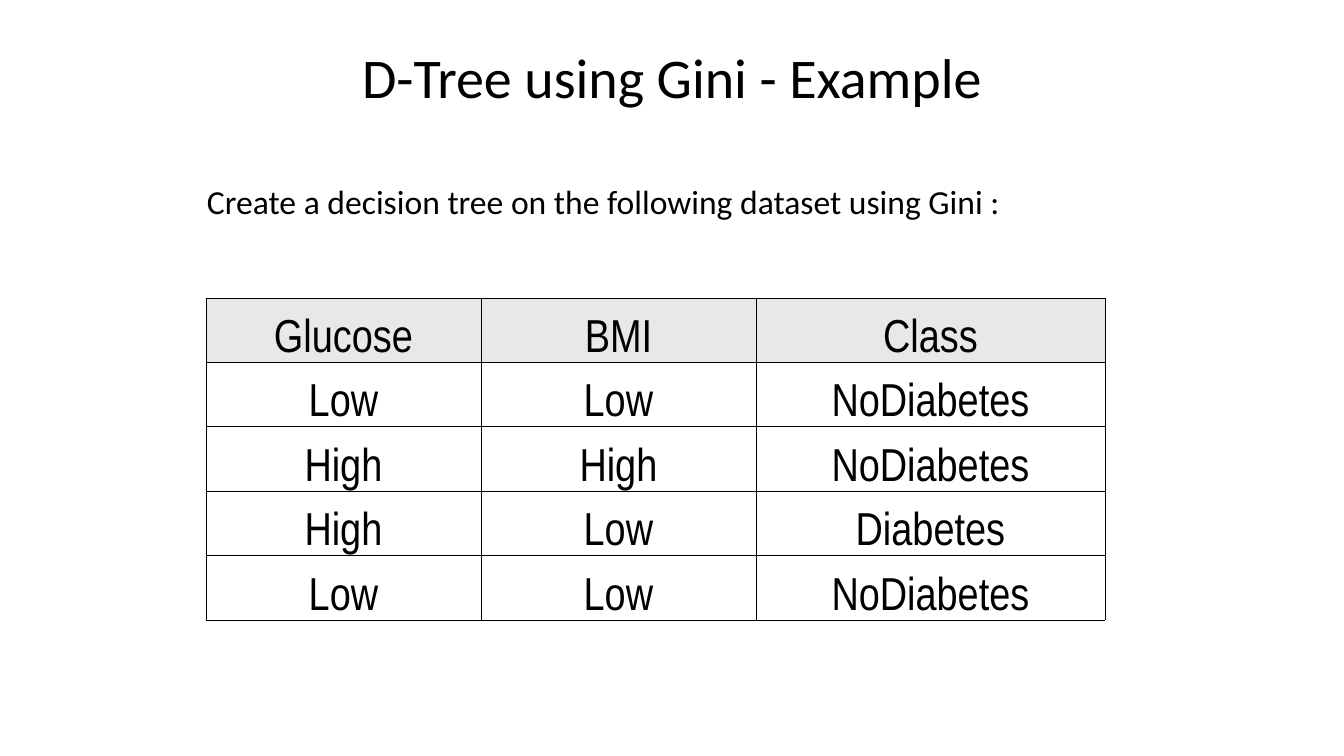
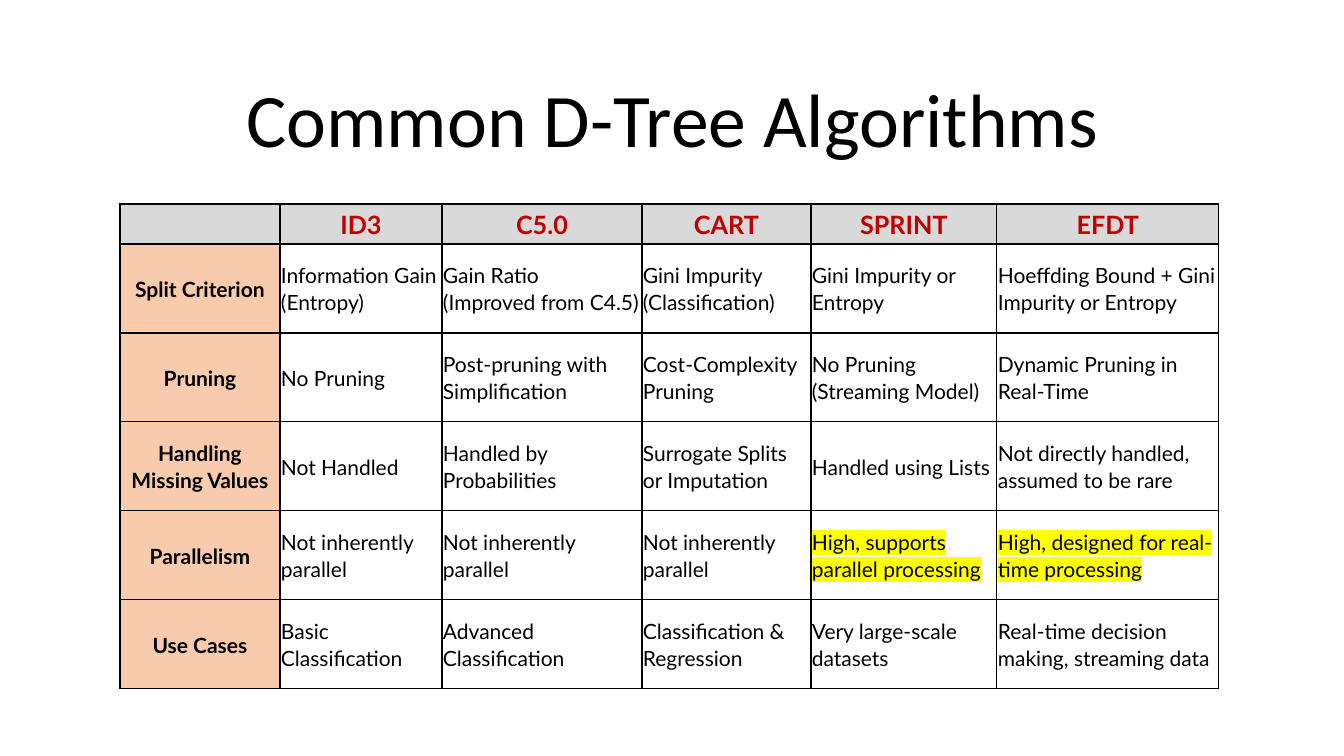
from dataclasses import dataclass

from lxml.etree import SubElement
from pptx import Presentation
from pptx.dml.color import RGBColor
from pptx.enum.text import MSO_ANCHOR as Anchor, MSO_AUTO_SIZE as AutoSize, PP_ALIGN as Align
from pptx.oxml.ns import qn
from pptx.slide import Slide
from pptx.table import _Cell as Cell
from pptx.text.text import TextFrame
from pptx.util import Emu, Pt

# Shared scale, fonts and colours
SLIDE_W, SLIDE_H = 1344, 756
EMU_PER_PX = 12192000 / SLIDE_W
TITLE_FONT = "Calibri"
BLACK, RED, YELLOW = "000000", "C00000", "FFFF00"
LIGHT_GREY, GREY, PEACH = "E8E8E8", "D9D9D9", "F8CBAD"


@dataclass(frozen=True)
class Box:
    left: int
    top: int
    width: int
    height: int


@dataclass(frozen=True)
class CellStyle:
    font: str
    size: int
    anchor: Anchor
    margins: tuple[int, int, int, int]  # left, top, right, bottom
    border: float
    color: str = BLACK
    fill: str | None = None
    bold: bool = False
    align: Align = Align.CENTER
    spacing: float = 1.0
    after: int = 0


def px(length: float) -> Emu:
    return Emu(round(length * EMU_PER_PX))


def rgb(color: str) -> RGBColor:
    return RGBColor.from_string(color)


def place(box: Box) -> tuple[Emu, Emu, Emu, Emu]:
    return px(box.left), px(box.top), px(box.width), px(box.height)


def write(frame: TextFrame, text: str, *, size: int, font: str = TITLE_FONT,
          color: str = BLACK, bold: bool = False, align: Align = Align.LEFT,
          spacing: float = 0.9, after: int = 0, highlight: str | None = None) -> None:
    paragraph = frame.paragraphs[0]
    paragraph.text = text
    paragraph.alignment = align
    paragraph.line_spacing = spacing
    paragraph.space_before = Pt(0)
    paragraph.space_after = Pt(after)
    for run in paragraph.runs:
        run.font.name, run.font.size, run.font.bold = font, Pt(size), bold
        run.font.color.rgb = rgb(color)
        if highlight:
            properties = run._r.get_or_add_rPr()
            marker = SubElement(properties, qn("a:highlight"))
            SubElement(marker, qn("a:srgbClr"), val=highlight)
            properties.find(qn("a:solidFill")).addnext(marker)


def add_title(slide: Slide, text: str, box: Box, size: int) -> None:
    title = slide.shapes.title
    title.left, title.top, title.width, title.height = place(box)
    frame = title.text_frame
    frame.word_wrap, frame.auto_size = True, AutoSize.NONE
    frame.vertical_anchor = Anchor.MIDDLE
    write(frame, text, size=size, align=Align.CENTER)


def add_statement(slide: Slide, text: str, box: Box) -> None:
    frame = slide.shapes.add_textbox(*place(box)).text_frame
    frame.word_wrap = True
    frame.vertical_anchor = Anchor.MIDDLE
    write(frame, text, size=24)


def draw_borders(cell: Cell, points: float) -> None:
    properties = cell._tc.get_or_add_tcPr()
    for side in ("lnL", "lnR", "lnT", "lnB"):
        line = SubElement(properties, qn(f"a:{side}"), w=str(Pt(points)))
        SubElement(SubElement(line, qn("a:solidFill")), qn("a:srgbClr"), val=BLACK)


def fill_cell(cell: Cell, text: str, style: CellStyle, highlight: str | None) -> None:
    draw_borders(cell, style.border)
    if style.fill:
        cell.fill.solid()
        cell.fill.fore_color.rgb = rgb(style.fill)
    else:
        cell.fill.background()
    cell.vertical_anchor = style.anchor
    (cell.margin_left, cell.margin_top,
     cell.margin_right, cell.margin_bottom) = map(px, style.margins)
    write(cell.text_frame, text, size=style.size, font=style.font, color=style.color,
          bold=style.bold, align=style.align, spacing=style.spacing,
          after=style.after, highlight=highlight)


def add_grid(slide: Slide, rows: list[tuple[str, ...]], left: int, top: int,
             widths: list[int], heights: list[float], header: CellStyle,
             body: CellStyle, first_column: CellStyle, marked: str | None = None) -> None:
    """Draw a table; body texts that start with `marked` are highlighted."""
    box = Box(left, top, sum(widths), round(sum(heights)))
    table = slide.shapes.add_table(len(rows), len(widths), *place(box)).table
    table.first_row = table.horz_banding = False
    for column, width in zip(table.columns, widths):
        column.width = px(width)
    for r, (row, height) in enumerate(zip(rows, heights)):
        table.rows[r].height = px(height)
        for c, text in enumerate(row):
            style = header if r == 0 else first_column if c == 0 else body
            highlight = YELLOW if marked and text.startswith(marked) else None
            fill_cell(table.cell(r, c), text, style, highlight)


# Contents of the tables
PATIENTS = [
    ("Glucose", "BMI", "Class"),
    ("Low", "Low", "NoDiabetes"),
    ("High", "High", "NoDiabetes"),
    ("High", "Low", "Diabetes"),
    ("Low", "Low", "NoDiabetes"),
]
ALGORITHMS = [
    ("", "ID3", "C5.0", "CART", "SPRINT", "EFDT"),
    ("Split Criterion", "Information Gain (Entropy)", "Gain Ratio\v(Improved from C4.5)",
     "Gini Impurity (Classification)", "Gini Impurity or Entropy",
     "Hoeffding Bound + Gini Impurity or Entropy"),
    ("Pruning", "No Pruning", "Post-pruning with Simplification",
     "Cost-Complexity Pruning", "No Pruning (Streaming Model)",
     "Dynamic Pruning in Real-Time"),
    ("Handling Missing Values", "Not Handled", "Handled by Probabilities",
     "Surrogate Splits or Imputation", "Handled using Lists",
     "Not directly handled, assumed to be rare"),
    ("Parallelism", *["Not inherently parallel"] * 3,
     "High, supports parallel processing", "High, designed for real-time processing"),
    ("Use Cases", "Basic Classification", "Advanced Classification",
     "Classification & Regression", "Very large-scale datasets",
     "Real-time decision making, streaming data"),
]

# Styles of the table cells
PATIENT = dict(font="Arial Narrow", size=33, anchor=Anchor.BOTTOM,
               margins=(2, 2, 2, 0), border=0.5)
ALGORITHM = dict(font="Lato", anchor=Anchor.MIDDLE, margins=(1, 1, 1, 1),
                 border=1, spacing=1.07, after=8)


def build_example(slide: Slide) -> None:
    add_title(slide, "D-Tree using Gini - Example", Box(111, 19, 1122, 123), 40)
    add_statement(slide, "Create a decision tree on the following dataset using Gini :",
                  Box(197, 161, 1122, 85))
    value = CellStyle(**PATIENT)
    add_grid(slide, PATIENTS, 206, 298, [275, 275, 349],
             [322 / len(PATIENTS)] * len(PATIENTS),
             header=CellStyle(fill=LIGHT_GREY, **PATIENT), body=value, first_column=value)


def build_comparison(slide: Slide) -> None:
    add_title(slide, "Common D-Tree Algorithms", Box(93, 61, 1159, 125), 54)
    add_grid(slide, ALGORITHMS, 120, 204, [160, 162, 200, 169, 186, 222],
             [40] + [89] * (len(ALGORITHMS) - 1),
             header=CellStyle(size=18, color=RED, fill=GREY, bold=True, **ALGORITHM),
             body=CellStyle(size=15, align=Align.LEFT, **ALGORITHM),
             first_column=CellStyle(size=15, fill=PEACH, bold=True, **ALGORITHM),
             marked="High,")


def main() -> None:
    deck = Presentation()
    deck.slide_width, deck.slide_height = px(SLIDE_W), px(SLIDE_H)
    title_only = deck.slide_layouts[5]
    for build in (build_example, build_comparison):
        build(deck.slides.add_slide(title_only))
    deck.save("out.pptx")


if __name__ == "__main__":
    main()
